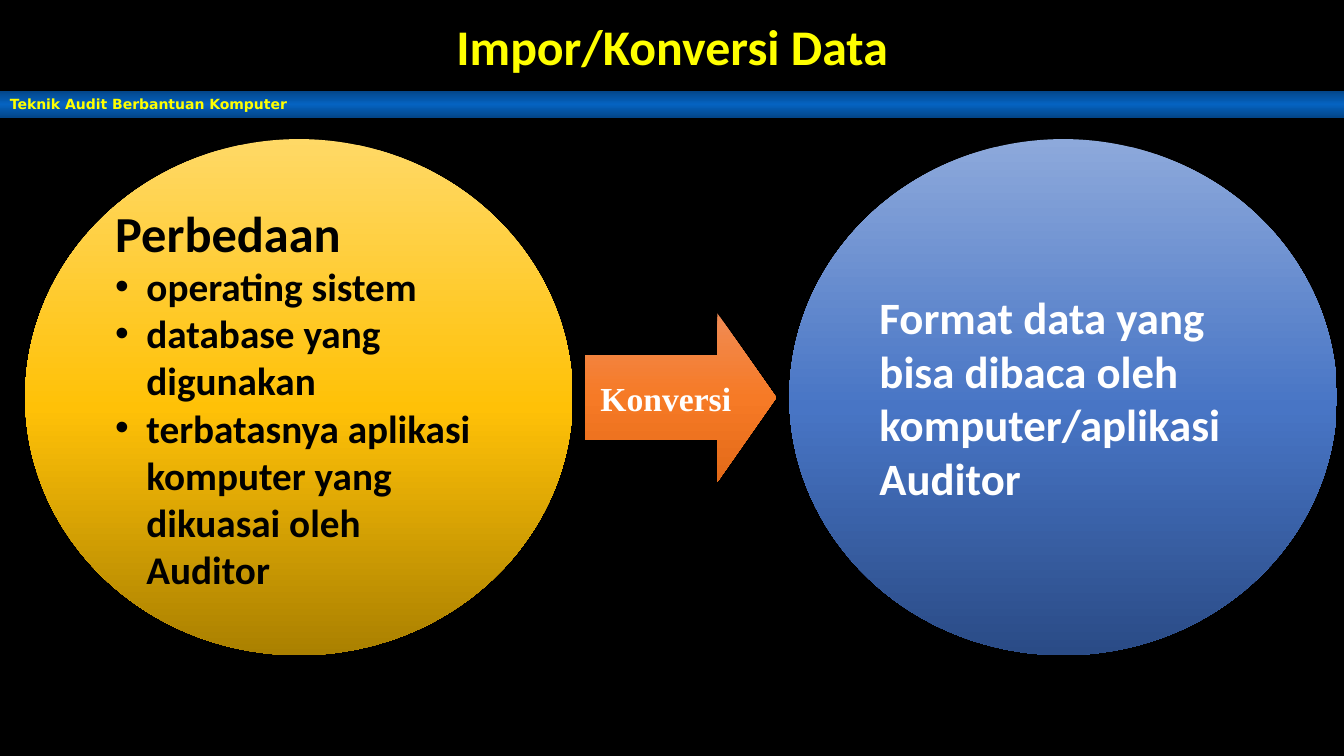
"""Build the data import and conversion slide."""
from dataclasses import dataclass

from copy import deepcopy
from lxml import etree
from pptx import Presentation, util as u
from pptx.dml.color import RGBColor
from pptx.enum import shapes, text
from pptx.oxml import parse_xml
from pptx.oxml.ns import nsdecls, qn

BLACK = RGBColor(0, 0, 0)
WHITE = RGBColor(255, 255, 255)
YELLOW = RGBColor(255, 255, 0)
NAVY = RGBColor(0x03, 0x45, 0x87)
BLUE = RGBColor(0x05, 0x63, 0xC1)
GOLD_LIGHT = RGBColor(0xFF, 0xD9, 0x66)
GOLD = RGBColor(0xFF, 0xC1, 0x07)
GOLD_DARK = RGBColor(0xAA, 0x80, 0x00)
STEEL_LIGHT = RGBColor(0x8D, 0xA9, 0xDB)
STEEL = RGBColor(0x48, 0x75, 0xC5)
STEEL_DARK = RGBColor(0x2A, 0x4B, 0x86)
ORANGE_LIGHT = RGBColor(0xF0, 0x8B, 0x54)
ORANGE = RGBColor(0xF6, 0x7A, 0x26)
ORANGE_DARK = RGBColor(0xE3, 0x6A, 0x18)

KIND = shapes.MSO_SHAPE
LEFT, CENTER = text.PP_ALIGN.LEFT, text.PP_ALIGN.CENTER
TOP, MIDDLE = text.MSO_ANCHOR.TOP, text.MSO_ANCHOR.MIDDLE
BULLET_INDENT = u.Inches(0.31)


@dataclass
class Line:
    """One paragraph of a box."""
    words: str
    size: float
    bullet: bool = False


@dataclass
class Panel:
    """A preset shape with a top-to-bottom gradient and text."""
    kind: KIND
    area: tuple[float, float, float, float]
    stops: tuple[RGBColor, RGBColor, RGBColor]
    middle: float
    lines: list[Line]
    color: RGBColor
    font: str = "Calibri"
    align: text.PP_ALIGN = LEFT
    anchor: text.MSO_ANCHOR = MIDDLE
    shadow: bool = False


PANELS = [
    Panel(KIND.RECTANGLE, (0, 0.9, 13.33, 0.27), (NAVY, BLUE, NAVY), 0.5,
          [Line("Teknik Audit Berbantuan Komputer", 10)], YELLOW,
          "DejaVu Sans", anchor=TOP),
    Panel(KIND.OVAL, (0.25, 1.38, 5.43, 5.12), (GOLD_LIGHT, GOLD, GOLD_DARK), 0.52,
          [Line("Perbedaan", 36),
           Line("operating sistem", 28, True),
           Line("database yang digunakan", 28, True),
           Line("terbatasnya aplikasi komputer yang dikuasai oleh Auditor", 28, True)],
          BLACK),
    Panel(KIND.RIGHT_ARROW, (5.8, 3.11, 1.9, 1.67),
          (ORANGE_LIGHT, ORANGE, ORANGE_DARK), 0.5, [Line("Konversi", 24)], WHITE,
          "Times New Roman", CENTER, shadow=True),
    Panel(KIND.OVAL, (7.83, 1.38, 5.43, 5.12), (STEEL_LIGHT, STEEL, STEEL_DARK), 0.52,
          [Line("Format data yang bisa dibaca oleh komputer/aplikasi Auditor", 32)],
          WHITE),
]


def apply_format(target: object, values: dict[str, object]) -> None:
    """Set every named attribute on the target."""
    for name, value in values.items():
        setattr(target, name, value)


def add_bullet(para) -> None:
    """Give a paragraph a hanging round bullet."""
    props = para._p.get_or_add_pPr()
    props.set("marL", str(BULLET_INDENT))
    props.set("indent", str(-BULLET_INDENT))
    color = etree.SubElement(props, qn("a:buClr"))
    etree.SubElement(color, qn("a:srgbClr"), val=str(BLACK))
    etree.SubElement(props, qn("a:buFont"), typeface="Arial")
    etree.SubElement(props, qn("a:buChar"), char="•")


def write_lines(frame, lines: list[Line], font: str, color: RGBColor,
                align: text.PP_ALIGN, anchor: text.MSO_ANCHOR) -> None:
    """Fill a text frame with bold paragraphs."""
    apply_format(frame, {"word_wrap": True, "vertical_anchor": anchor})
    for index, line in enumerate(lines):
        para = frame.add_paragraph() if index else frame.paragraphs[0]
        para.alignment = align
        if line.bullet:
            add_bullet(para)
        span = para.add_run()
        span.text = line.words
        apply_format(span.font, {"name": font, "size": u.Pt(line.size), "bold": True})
        span.font.color.rgb = color


def paint_gradient(shape, stops: tuple[RGBColor, ...], middle: float) -> None:
    """Fill a shape with three colours from top to bottom."""
    shape.fill.gradient()
    shape.fill.gradient_angle = 270
    stop_list = shape.element.xpath(".//a:gsLst")[0]
    stop_list.append(deepcopy(stop_list[-1]))
    for stop, color, position in zip(shape.fill.gradient_stops, stops, (0, middle, 1)):
        stop.color.rgb = color
        stop.position = position


def add_shadow(shape) -> None:
    """Drop a soft black shadow below a shape."""
    effects = shape.element.spPr.find(qn("a:effectLst"))
    effects.append(parse_xml(
        f'<a:outerShdw {nsdecls("a")} blurRad="{u.Pt(4.5)}" dist="{u.Pt(1.5)}" '
        f'dir="5400000" algn="ctr" rotWithShape="0"><a:srgbClr val="{BLACK}">'
        '<a:alpha val="63000"/></a:srgbClr></a:outerShdw>'))


def add_panel(page, panel: Panel) -> None:
    """Draw one panel."""
    shape = page.shapes.add_shape(panel.kind, *map(u.Inches, panel.area))
    shape.shadow.inherit = False
    shape.line.fill.background()
    paint_gradient(shape, panel.stops, panel.middle)
    if panel.kind == KIND.RIGHT_ARROW:
        shape.adjustments[0], shape.adjustments[1] = 0.5, 0.35
    if panel.shadow:
        add_shadow(shape)
    write_lines(shape.text_frame, panel.lines, panel.font, panel.color,
                panel.align, panel.anchor)


def add_title(page) -> None:
    """Write the slide title."""
    box = page.shapes.add_textbox(*map(u.Inches, (0.92, 0.15, 11.5, 0.68)))
    write_lines(box.text_frame, [Line("Impor/Konversi Data", 35.6)],
                "Calibri", YELLOW, CENTER, MIDDLE)
    box.text_frame.paragraphs[0].line_spacing = 0.9


def main() -> None:
    """Build and save the deck."""
    deck = Presentation()
    apply_format(deck, {"slide_width": u.Inches(13.33), "slide_height": u.Inches(7.5)})
    page = deck.slides.add_slide(deck.slide_layouts[6])
    page.background.fill.solid()
    page.background.fill.fore_color.rgb = BLACK
    for panel in PANELS:
        add_panel(page, panel)
    add_title(page)
    deck.save("out.pptx")


if __name__ == "__main__":
    main()
